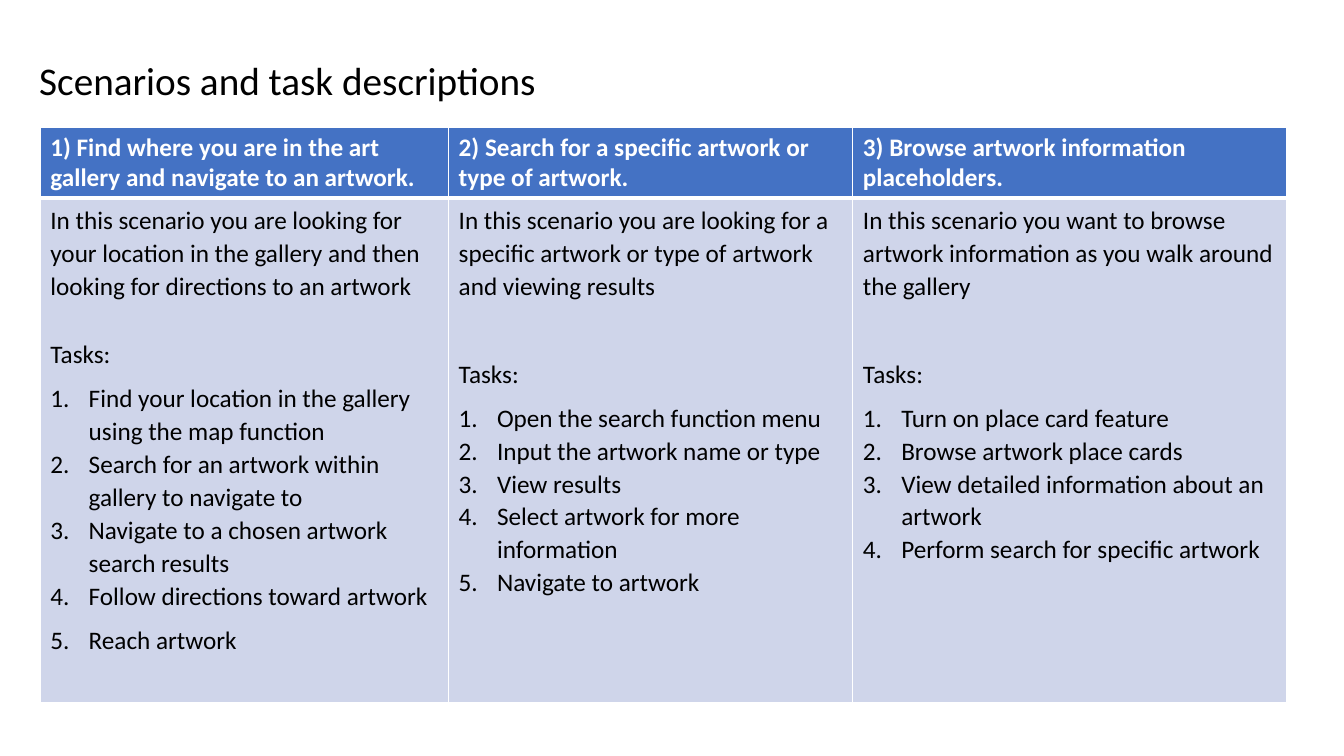
from lxml import etree
from pptx import Presentation
from pptx.dml.color import RGBColor
from pptx.enum.text import MSO_ANCHOR, PP_ALIGN
from pptx.oxml.ns import qn
from pptx.util import Inches, Pt

MIDDLE = MSO_ANCHOR.MIDDLE
LEFT = PP_ALIGN.LEFT

BLACK = RGBColor(0x00, 0x00, 0x00)
WHITE = RGBColor(0xFF, 0xFF, 0xFF)
HEADER_BLUE = RGBColor(0x44, 0x72, 0xC4)
BODY_BLUE = RGBColor(0xCF, 0xD5, 0xEA)

# Each scenario: heading, introduction, gap before "Tasks:" in points, tasks
SCENARIOS = [
    ("1) Find where you are in the art gallery and navigate to an artwork.",
     "In this scenario you are looking for your location in the gallery "
     "and then looking for directions to an artwork",
     25.5,
     ["Find your location in the gallery using the map function",
      "Search for an artwork within gallery to navigate to",
      "Navigate to a chosen artwork search results",
      "Follow directions toward artwork",
      "Reach artwork"]),
    ("2) Search for a specific artwork or type of artwork.",
     "In this scenario you are looking for a specific artwork or type of "
     "artwork and viewing results",
     39.5,
     ["Open the search function menu",
      "Input the artwork name or type",
      "View results",
      "Select artwork for more information",
      "Navigate to artwork"]),
    ("3) Browse artwork information placeholders.",
     "In this scenario you want to browse artwork information as you walk "
     "around the gallery",
     39.5,
     ["Turn on place card feature",
      "Browse artwork place cards",
      "View detailed information about an artwork",
      "Perform search for specific artwork"]),
]
SPACED_TASK = "Reach artwork"


class ScenarioSlide:
    """Holds the style and the slide; lengths are percentages of its size."""

    font_name = "Calibri"
    title_size = Pt(28)
    text_size = Pt(18)
    line_spacing = 1.07
    indent = Inches(0.38)

    def __init__(self, deck):
        self.width, self.height = deck.slide_width, deck.slide_height
        self.page = deck.slides.add_slide(deck.slide_layouts[6])

    def across(self, percent):
        return round(self.width * percent / 100)

    def down(self, percent):
        return round(self.height * percent / 100)

    def fill_paragraph(self, para, text, size, color, bold=False):
        para.add_run().text = text
        para.alignment = LEFT
        font = para.font
        font.name, font.size, font.bold = self.font_name, size, bold
        font.color.rgb = color

    def title(self, text, left, top, width, height):
        box = self.page.shapes.add_textbox(
            self.across(left), self.down(top), self.across(width), self.down(height))
        frame = box.text_frame
        frame.word_wrap = True
        frame.vertical_anchor = MIDDLE
        para = frame.paragraphs[0]
        para.line_spacing = 0.9
        self.fill_paragraph(para, text, self.title_size, BLACK)

    def table(self, left, top, widths, heights):
        table = self.page.shapes.add_table(
            len(heights), len(widths), self.across(left), self.down(top),
            self.across(sum(widths)), self.down(sum(heights))).table
        for column, width in zip(table.columns, widths):
            column.width = self.across(width)
        for row, height in zip(table.rows, heights):
            row.height = self.down(height)
        return table

    def style_cell(self, cell, fill, top=1, bottom=1):
        cell.fill.solid()
        cell.fill.fore_color.rgb = fill
        properties = cell._tc.get_or_add_tcPr()
        borders = {"a:lnL": 1, "a:lnR": 1, "a:lnT": top, "a:lnB": bottom}
        for position, (tag, points) in enumerate(borders.items()):
            line = etree.Element(qn(tag), w=str(Pt(points)))
            solid = etree.SubElement(line, qn("a:solidFill"))
            etree.SubElement(solid, qn("a:srgbClr"), val=str(WHITE))
            properties.insert(position, line)

    def heading_cell(self, cell, text):
        self.style_cell(cell, HEADER_BLUE, bottom=3)
        para = cell.text_frame.paragraphs[0]
        self.fill_paragraph(para, text, self.text_size, WHITE, bold=True)

    def scenario_cell(self, cell, introduction, gap, tasks):
        self.style_cell(cell, BODY_BLUE, top=3)
        frame = cell.text_frame
        self.body_text(frame.paragraphs[0], introduction)
        label = frame.add_paragraph()
        label.space_before = Pt(gap)
        label.space_after = Pt(8)
        self.body_text(label, "Tasks:")
        for task in tasks:
            self.task(frame.add_paragraph(), task)

    def body_text(self, para, text):
        para.line_spacing = self.line_spacing
        self.fill_paragraph(para, text, self.text_size, BLACK)

    def task(self, para, text):
        properties = para._p.get_or_add_pPr()
        properties.set("marL", str(self.indent))
        properties.set("indent", str(-self.indent))
        etree.SubElement(properties, qn("a:buFont"), typeface="+mj-lt")
        etree.SubElement(properties, qn("a:buAutoNum"), type="arabicPeriod")
        if text == SPACED_TASK:
            para.space_before = Pt(8)
        self.body_text(para, text)


def main():
    deck = Presentation()
    deck.slide_width, deck.slide_height = Inches(13.33), Inches(7.5)
    slide = ScenarioSlide(deck)

    # Title
    slide.title("Scenarios and task descriptions", 2.18, 5.33, 91, 11.2)

    # Scenario table: headings above, tasks below
    table = slide.table(3, 16.8, widths=[30.38, 30.08, 32.26], heights=[9.4, 66.8])
    for column, (heading, introduction, gap, tasks) in enumerate(SCENARIOS):
        slide.heading_cell(table.cell(0, column), heading)
        slide.scenario_cell(table.cell(1, column), introduction, gap, tasks)

    deck.save("out.pptx")


if __name__ == "__main__":
    main()
